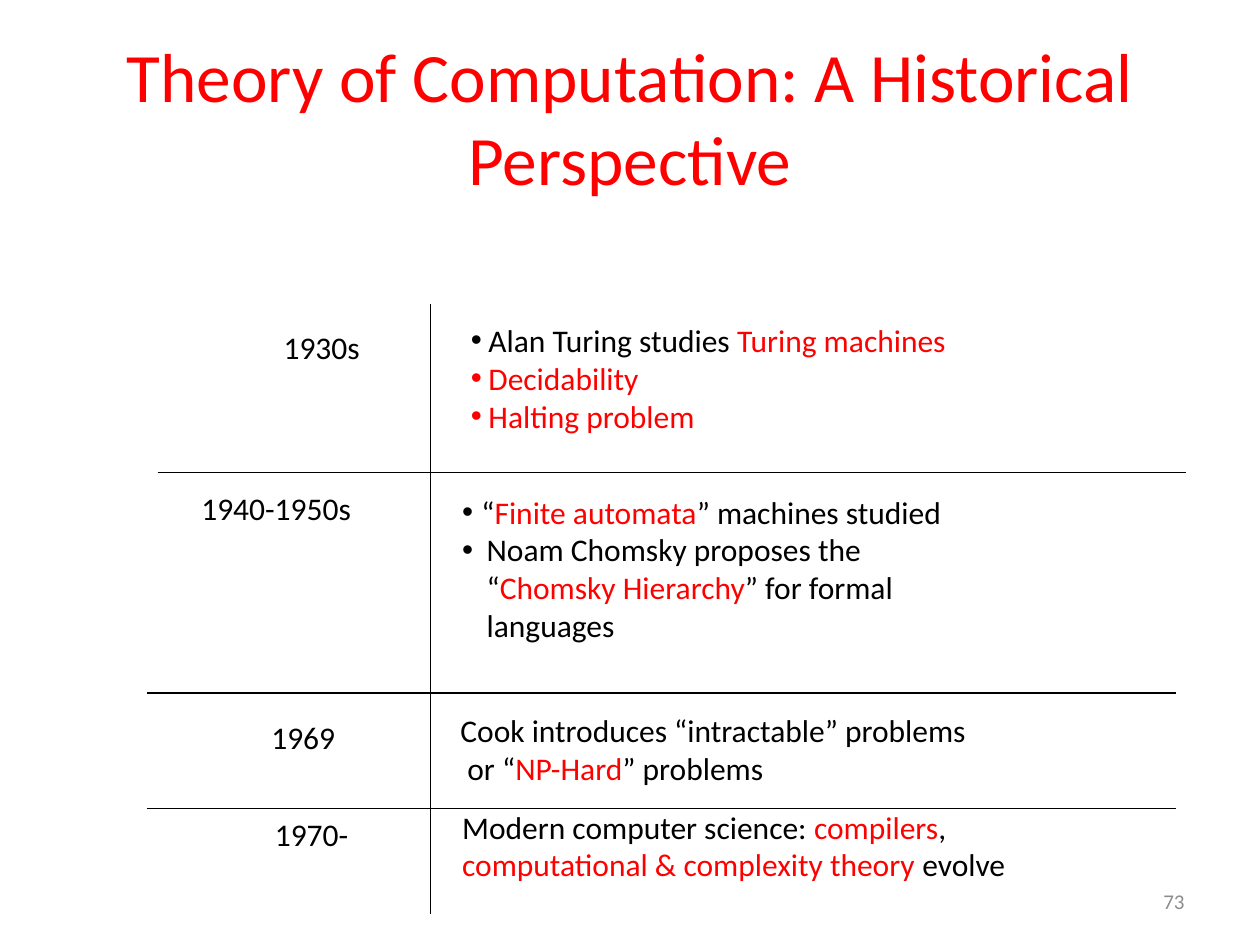
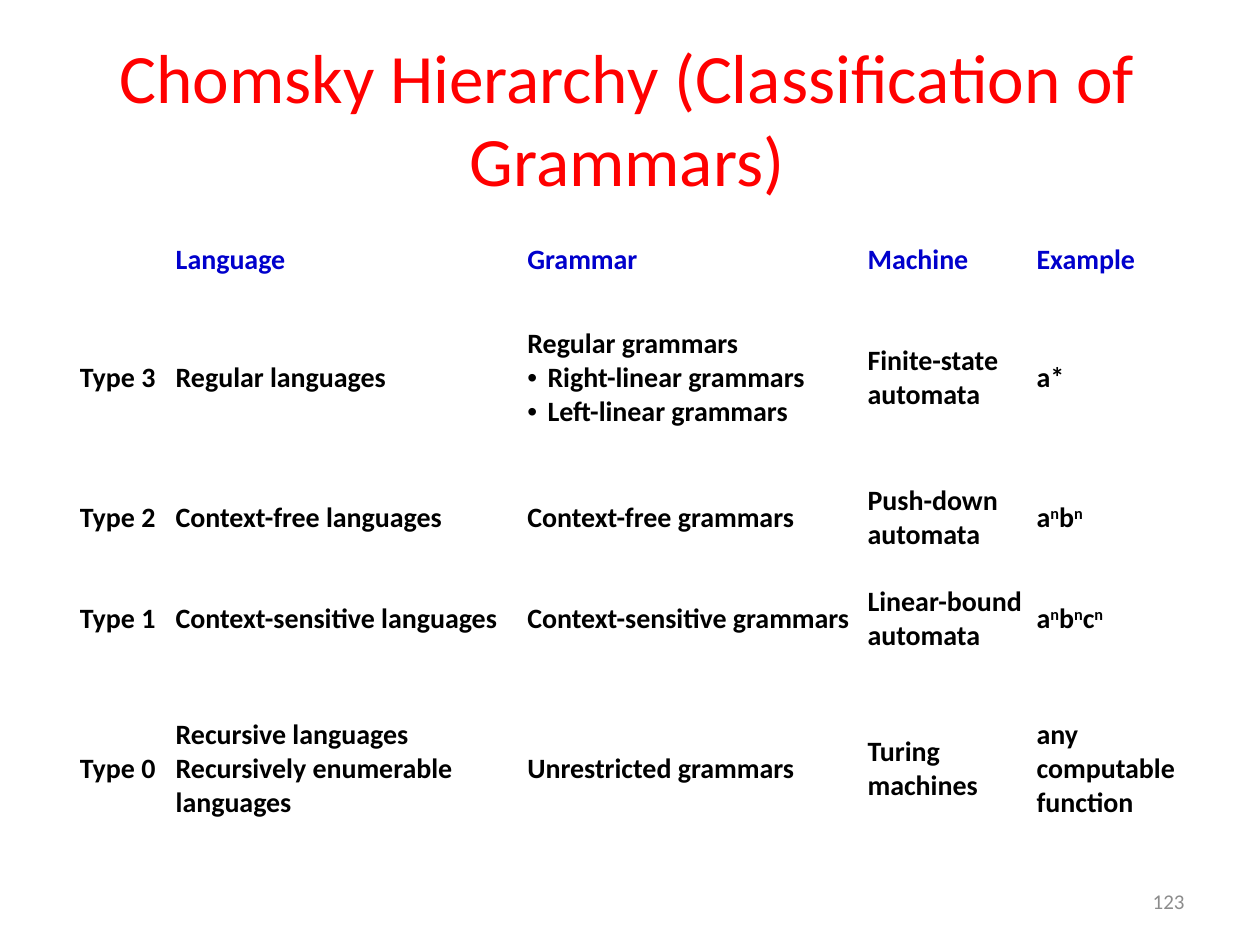
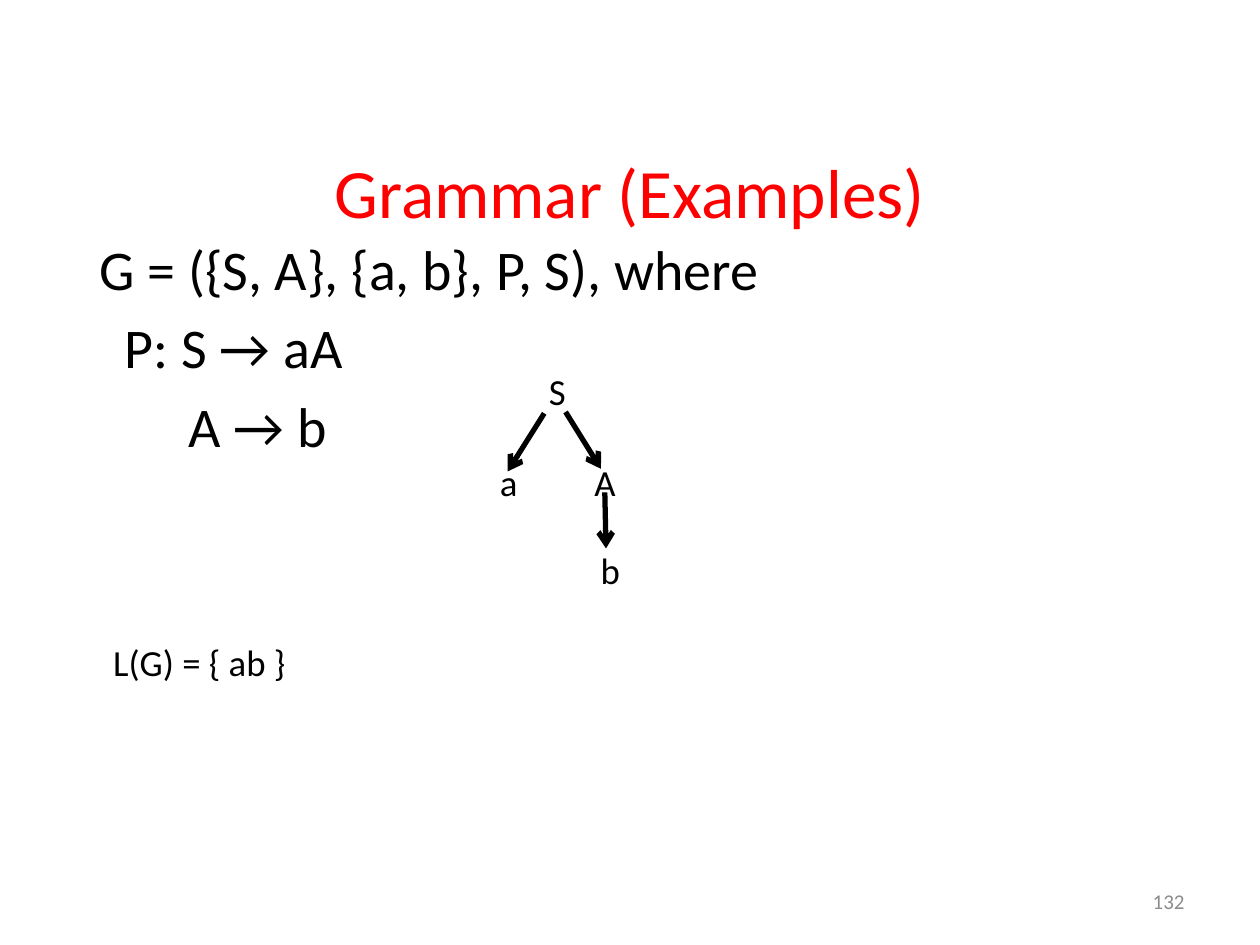
from lxml import etree
from pptx import Presentation
from pptx.dml.color import RGBColor as Rgb
from pptx.enum.shapes import MSO_CONNECTOR as Connector
from pptx.enum.text import MSO_ANCHOR as Anchor, MSO_AUTO_SIZE as AutoSize, PP_ALIGN as Align
from pptx.oxml.ns import qn
from pptx.util import Pt

COLORS = {"text": "000000", "accent": "FF0000", "heading": "0000CC", "number": "8C8C8C"}
FONT = "Calibri"
TITLE_ONLY, TITLE_AND_BODY = 5, 1
NUMBER_BOX = (516, 500.4, 168, 28.8)


# Shared text and line helpers
def style(paragraph, size, color="text", bold=False):
    font = paragraph.font
    font.name, font.size, font.bold = FONT, Pt(size), bold
    font.color.rgb = Rgb.from_string(COLORS[color])


def accent(run):
    run.font.color.rgb = Rgb.from_string(COLORS["accent"])


def superscript(run):
    run._r.get_or_add_rPr().set("baseline", "30000")


def write(paragraph, text, mark):
    """Add text; the pieces between bars are marked, newlines break the line."""
    for index, piece in enumerate(text.split("|")):
        for row, line in enumerate(piece.split("\n")):
            if row:
                paragraph.add_line_break()
            if line:
                run = paragraph.add_run()
                run.text = line
                if index % 2:
                    mark(run)


def indent(paragraph, left, hanging=0, bullet=False):
    props = paragraph._p.get_or_add_pPr()
    props.set("marL", str(Pt(left)))
    props.set("indent", str(-Pt(hanging)))
    if bullet:
        etree.SubElement(props, qn("a:buFont")).set("typeface", "Arial")
        etree.SubElement(props, qn("a:buChar")).set("char", "•")
    else:
        etree.SubElement(props, qn("a:buNone"))


def next_paragraph(frame, index):
    return frame.add_paragraph() if index else frame.paragraphs[0]


def place(shape, box):
    shape.left, shape.top, shape.width, shape.height = map(Pt, box)


def add_label(slide, box, text, size, color="text"):
    frame = slide.shapes.add_textbox(*map(Pt, box)).text_frame
    frame.word_wrap = True
    paragraph = frame.paragraphs[0]
    paragraph.text = text
    style(paragraph, size, color)
    return frame


def add_line(slide, start, end, width, arrow=False):
    line = slide.shapes.add_connector(Connector.STRAIGHT, *map(Pt, (*start, *end)))
    line.line.width = Pt(width)
    line.line.color.rgb = Rgb.from_string(COLORS["text"])
    props = line._element.spPr
    if arrow:
        etree.SubElement(props.find(qn("a:ln")), qn("a:tailEnd")).set("type", "arrow")
    etree.SubElement(props, qn("a:effectLst"))


def new_slide(deck, layout, title, title_box, number):
    slide = deck.slides.add_slide(deck.slide_layouts[layout])
    heading = slide.shapes.title
    place(heading, title_box)
    frame = heading.text_frame
    frame.text = title
    frame.auto_size = AutoSize.NONE
    frame.vertical_anchor = Anchor.MIDDLE
    frame.paragraphs[0].alignment = Align.CENTER
    style(frame.paragraphs[0], 39.6, "accent")
    footer = add_label(slide, NUMBER_BOX, number, 12, "number")
    footer.vertical_anchor = Anchor.MIDDLE
    footer.paragraphs[0].alignment = Align.RIGHT
    return slide


# Timeline: year offset, event offset, then (text, left indent, hanging, bullet)
ERAS = [
    ("1930s", (71, 10), (178, 6), [
        ("Alan Turing studies |Turing machines|", 10, 10, True),
        ("|Decidability|", 10, 10, True),
        ("|Halting problem|", 10, 10, True)]),
    ("1940-1950s", (24, 102), (173, 104), [
        ("“|Finite automata|” machines studied", 11, 11, True),
        ("Noam Chomsky proposes the\n“|Chomsky Hierarchy|” for formal\nlanguages", 14, 14, True)]),
    ("1969", (64, 233), (172, 229), [
        ("Cook introduces “intractable” problems\nor “|NP-Hard|” problems", 4, 4, False)]),
    ("1970-", (66, 288), (173, 284), [
        ("Modern computer science: |compilers|,\n|computational & complexity theory| evolve",
         0, 0, False)]),
]
ERA_RULES = [(6, 96), (0, 222), (0, 288)]


def add_timeline(slide, box):
    left, top, width, height = box
    for year, (year_x, year_y), (event_x, event_y), events in ERAS:
        add_label(slide, (left + year_x, top + year_y, 130, 36), year, 18)
        event_box = (left + event_x, top + event_y, 430, 22 * len(events) + 22)
        frame = slide.shapes.add_textbox(*map(Pt, event_box)).text_frame
        frame.word_wrap = True
        for index, (text, margin, hanging, bullet) in enumerate(events):
            paragraph = next_paragraph(frame, index)
            indent(paragraph, margin, hanging, bullet)
            style(paragraph, 18)
            write(paragraph, text, accent)
    for x, y in ERA_RULES:
        add_line(slide, (left + x, top + y), (left + x + width, top + y), 0.75)
    add_line(slide, (left + 162, top), (left + 162, top + height), 0.75)


# Chomsky hierarchy table
HIERARCHY = [
    ["", "Language", "Grammar", "Machine", "Example"],
    ["Type 3", "Regular languages",
     "Regular grammars\n• Right-linear grammars\n• Left-linear grammars",
     "Finite-state automata", "a*"],
    ["Type 2", "Context-free languages", "Context-free grammars",
     "Push-down automata", "a|n|b|n|"],
    ["Type 1", "Context-sensitive languages", "Context-sensitive grammars",
     "Linear-bound automata", "a|n|b|n|c|n|"],
    ["Type 0", "Recursive languages\nRecursively enumerable languages",
     "Unrestricted grammars", "Turing machines", "any computable function"],
]
COLUMN_WIDTHS = [54.8, 201, 194.4, 96.6, 91.2]
ROW_HEIGHTS = [32.5, 103, 57, 58.5, 113]


def fill_cell(cell, text, color):
    cell.fill.background()
    cell.vertical_anchor = Anchor.MIDDLE
    cell.margin_left = cell.margin_right = cell.margin_top = cell.margin_bottom = Pt(3.6)
    for index, line in enumerate(text.split("\n")):
        paragraph = next_paragraph(cell.text_frame, index)
        if line.startswith("• "):
            indent(paragraph, 11.5, 11.5, bullet=True)
        style(paragraph, 16, color, bold=True)
        write(paragraph, line.removeprefix("• "), superscript)


def add_hierarchy(slide, box):
    table = slide.shapes.add_table(len(HIERARCHY), len(COLUMN_WIDTHS), *map(Pt, box)).table
    table.first_row = table.horz_banding = False
    for column, width in zip(table.columns, COLUMN_WIDTHS):
        column.width = Pt(width)
    for r, (row, height) in enumerate(zip(HIERARCHY, ROW_HEIGHTS)):
        table.rows[r].height = Pt(height)
        for c, text in enumerate(row):
            fill_cell(table.cell(r, c), text, "text" if r else "heading")


# Grammar rules with their derivation tree
GRAMMAR = [("G = ({S, A}, {a, b}, P, S), where", 0), ("P: S → aA", 14.5), ("A → b", 51)]
TREE_NODES = [("S", 28, 0), ("a", 0, 52), ("A", 54, 52), ("b", 57.6, 102)]
TREE_ARROWS = [((32.4, 28.8), (11.5, 62)), ((44.6, 28), (64.8, 60.5)), ((67, 74), (67.7, 106))]


def add_grammar(slide, box):
    body = slide.placeholders[1]
    place(body, box)
    frame = body.text_frame
    frame.auto_size = AutoSize.NONE
    for index, (rule, margin) in enumerate(GRAMMAR):
        paragraph = next_paragraph(frame, index)
        paragraph.text = rule
        indent(paragraph, margin)
        paragraph.space_before = Pt(6.4 if index else 0)
        style(paragraph, 32)


def add_tree(slide, box):
    left, top = box[:2]
    for start, end in TREE_ARROWS:
        add_line(slide, (left + start[0], top + start[1]), (left + end[0], top + end[1]),
                 3, arrow=True)
    for symbol, x, y in TREE_NODES:
        add_label(slide, (left + x, top + y, 27, 32.4), symbol, 21)


def main():
    deck = Presentation()
    deck.slide_width, deck.slide_height = Pt(720), Pt(540)

    history = new_slide(deck, TITLE_ONLY, "Theory of Computation: A Historical Perspective",
                        (36, 21.6, 648, 90), "73")
    add_timeline(history, (84, 174, 588, 348))

    hierarchy = new_slide(deck, TITLE_ONLY, "Chomsky Hierarchy (Classification of Grammars)",
                          (48, 42, 620.6, 50.4), "123")
    add_hierarchy(hierarchy, (42, 132, sum(COLUMN_WIDTHS), sum(ROW_HEIGHTS)))

    examples = new_slide(deck, TITLE_AND_BODY, "Grammar (Examples)",
                         (49.7, 89.3, 620.6, 39.6), "132")
    add_grammar(examples, (49.7, 130.3, 620.6, 312.5))
    add_tree(examples, (278.6, 207.4, 85, 135))
    add_label(examples, (57.6, 362, 177, 32.4), "L(G) = { ab }", 21)

    deck.save("out.pptx")


if __name__ == "__main__":
    main()
